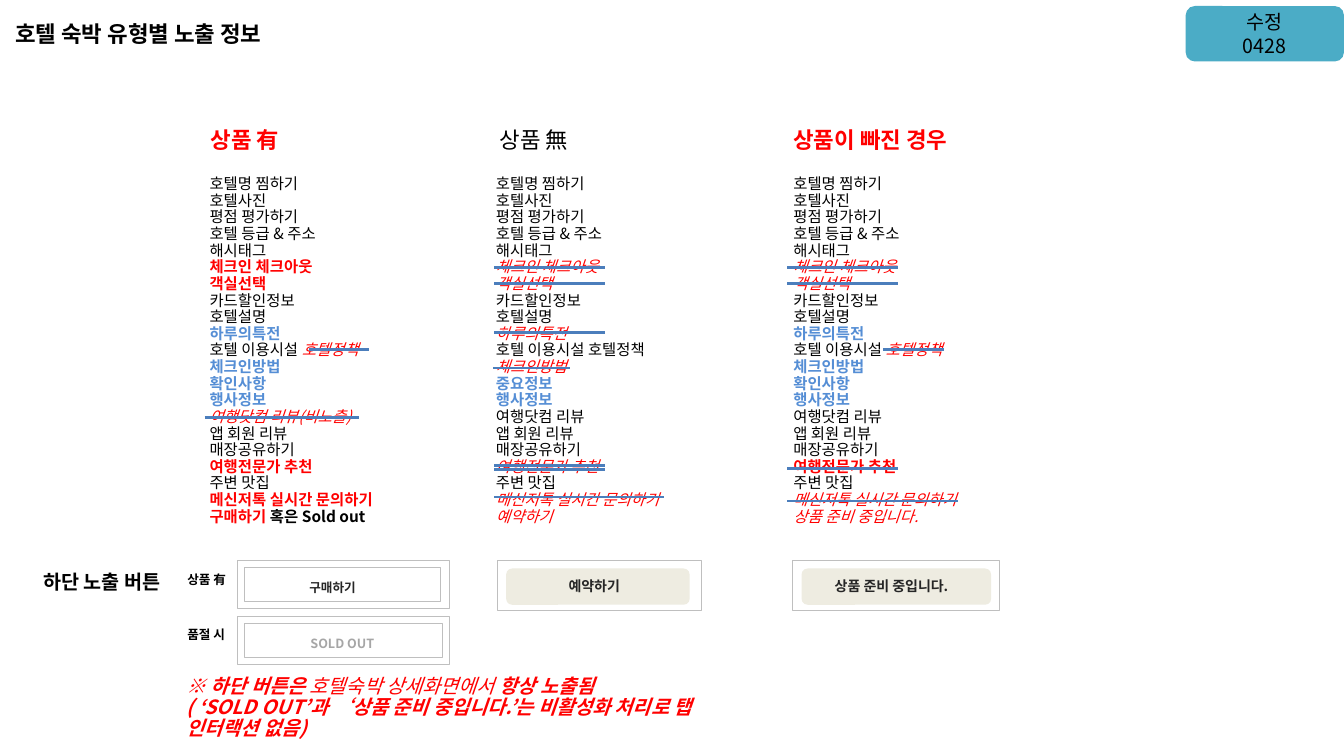
from lxml import etree
from pptx import Presentation, util as u
from pptx.dml.color import RGBColor
from pptx.enum import shapes, text
from pptx.oxml import ns

FONT = "Noto Sans CJK KR"
BLACK = RGBColor(0x00, 0x00, 0x00)
INK = RGBColor(0x26, 0x26, 0x26)
GREY = RGBColor(0xA6, 0xA6, 0xA6)
BORDER = RGBColor(0xBF, 0xBF, 0xBF)
WHITE = RGBColor(0xFF, 0xFF, 0xFF)
RED = RGBColor(0xFF, 0x00, 0x00)
BLUE = RGBColor(0x55, 0x8E, 0xD5)
STRIKE = RGBColor(0x4B, 0x7E, 0xBC)
TEAL = RGBColor(0x4B, 0xAC, 0xC6)
BEIGE = RGBColor(0xEE, 0xEC, 0xE1)

ADDED = dict(color=RED, bold=True)
REMOVED = dict(color=RED, italic=True)
INFO = dict(color=BLUE, bold=True)
RECT = shapes.MSO_SHAPE.RECTANGLE
ROUND = shapes.MSO_SHAPE.ROUNDED_RECTANGLE


def add_run(p, words, size=11, color=BLACK, bold=False, italic=False):
    r = p.add_run()
    r.text = words
    f = r.font
    f.size, f.bold, f.italic = u.Pt(size), bold, italic
    f.color.rgb = color
    f.name = FONT
    etree.SubElement(r._r.get_or_add_rPr(), ns.qn("a:ea"), typeface=FONT)


class Deck:
    def __init__(self):
        self.prs = Presentation()
        self.prs.slide_width = u.Inches(13.33)
        self.prs.slide_height = u.Inches(7.5)
        self.s = self.prs.slides.add_slide(self.prs.slide_layouts[5])

    def fill_text(self, tf, paragraphs, spacing=None, align=text.PP_ALIGN.LEFT, **style):
        """Each paragraph is a string or a list of (words, style) runs."""
        tf.word_wrap = True
        for i, runs in enumerate(paragraphs):
            p = tf.paragraphs[0] if i == 0 else tf.add_paragraph()
            p.alignment = align
            if spacing:
                p.line_spacing = spacing
            for words, extra in [(runs, {})] if isinstance(runs, str) else runs:
                add_run(p, words, **{**style, **extra})

    def title(self, words, x, y, w, h, **style):
        sp = self.s.shapes.title
        sp.left, sp.top, sp.width, sp.height = map(u.Inches, (x, y, w, h))
        tf = sp.text_frame
        tf.auto_size = text.MSO_AUTO_SIZE.NONE
        tf.vertical_anchor = text.MSO_ANCHOR.MIDDLE
        self.fill_text(tf, [words], **style)

    def label(self, paragraphs, x, y, w, h, spacing=0.9, **style):
        sp = self.s.shapes.add_textbox(*map(u.Inches, (x, y, w, h)))
        self.fill_text(sp.text_frame, paragraphs, spacing, **style)

    def box(self, kind, x, y, w, h, fill, line=None):
        sp = self.s.shapes.add_shape(kind, *map(u.Inches, (x, y, w, h)))
        sp.shadow.inherit = False
        sp.fill.solid()
        sp.fill.fore_color.rgb = fill
        if line is None:
            sp.line.fill.background()
        else:
            sp.line.color.rgb = line
            sp.line.width = u.Pt(0.5)
        return sp

    def strike(self, x1, x2, y):
        c = self.s.shapes.add_connector(
            shapes.MSO_CONNECTOR.STRAIGHT, *map(u.Inches, (x1, y, x2, y)))
        c.line.color.rgb = STRIKE
        c.line.width = u.Pt(2)
        etree.SubElement(c._element.spPr, ns.qn("a:effectLst"))


ROWS = ["호텔명 찜하기", "호텔사진", "평점 평가하기", "호텔 등급 & 주소", "해시태그",
        "체크인 체크아웃", "객실선택", "카드할인정보", "호텔설명", "하루의특전",
        "호텔 이용시설 호텔정책", "체크인방법", "확인사항", "행사정보", "여행닷컴 리뷰",
        "앱 회원 리뷰", "매장공유하기", "여행전문가 추천", "주변 맛집",
        "메신저톡 실시간 문의하기", "예약하기"]
POLICY_CUT = [("호텔 이용시설 ", {}), ("호텔정책", REMOVED)]


def column_rows(added=(), removed=(), info=(), **changed):
    """Common rows with marked styles; row_<n> replaces the runs of row n."""
    styles = {**dict.fromkeys(added, ADDED), **dict.fromkeys(removed, REMOVED),
              **dict.fromkeys(info, INFO)}
    return [changed.get(f"row_{n}", [(row, styles.get(n, {}))])
            for n, row in enumerate(ROWS, 1)]


d = Deck()

# Title and revision badge
d.title("호텔 숙박 유형별 노출 정보", 0.05, 0.16, 5.98, 0.34, size=16, bold=True)
badge = d.box(ROUND, 11.76, 0.06, 1.57, 0.55, TEAL)
badge.text_frame.vertical_anchor = text.MSO_ANCHOR.MIDDLE
d.fill_text(badge.text_frame, ["수정", "0428"], align=text.PP_ALIGN.CENTER, size=14)

# Three columns of shown information
columns = [
    ("상품 有", 1.99, 1.64, ADDED, 1.98, column_rows(
        added=(6, 7, 18, 20), info=(10, 12, 13, 14), row_11=POLICY_CUT,
        row_15=[("여행닷컴 리뷰(비노출)", REMOVED)],
        row_21=[("구매하기 ", ADDED), ("혹은 Sold out", dict(bold=True))])),
    ("상품 無", 4.86, 1.18, {}, 4.82, column_rows(
        removed=(6, 7, 10, 12, 18, 20, 21), info=(13, 14),
        row_13=[("중요정보", INFO)])),
    ("상품이 빠진 경우", 7.77, 1.97, ADDED, 7.77, column_rows(
        added=(18,), removed=(6, 7, 20), info=(10, 12, 13, 14), row_11=POLICY_CUT,
        row_21=[("상품 준비 중입니다.", REMOVED)])),
]
for heading, head_x, head_w, style, x, rows in columns:
    d.label([heading], head_x, 1.23, head_w, 0.39, size=16, **style)
    d.label(rows, x, 1.7, 2.76, 3.46)

# Lines through removed rows
strikes = [
    (3.06, 3.66, 3.47), (2.03, 3.56, 4.14),
    *[(4.9, 6, y) for y in (2.65, 2.81, 3.3, 4.62, 4.66)],
    (4.89, 5.65, 3.65), (4.9, 6.59, 4.93),
    *[(7.81, 8.91, y) for y in (2.65, 2.81, 4.65)],
    (8.76, 9.36, 3.47), (7.81, 9.5, 4.97),
]
for x1, x2, y in strikes:
    d.strike(x1, x2, y)

# Bottom buttons: outlined pair on the left
d.label(["하단 노출 버튼"], 0.33, 5.63, 1.43, 0.39, size=14, bold=True)
for state, state_y, words, x, y, w, color in [
        ("상품 有", 5.64, "구매하기", 2.97, 5.56, 1.95, INK),
        ("품절 시", 6.19, "SOLD OUT", 2.98, 6.11, 1.97, GREY)]:
    d.label([state], 1.76, state_y, 0.69, 0.39, size=9, bold=True)
    d.box(RECT, 2.35, y, 2.11, 0.48, WHITE, BORDER)
    d.box(RECT, 2.42, y + 0.07, w, 0.34, WHITE, BORDER)
    d.label([words], x, y + 0.07, 1.48, 0.33, spacing=1.5, size=9, bold=True, color=color)

# Bottom buttons: filled ones under the other columns
for words, x, w, fill_w, text_x in [
        ("예약하기", 4.93, 2.03, 1.82, 5.54),
        ("상품 준비 중입니다.", 7.86, 2.05, 1.88, 8.18)]:
    d.box(RECT, x, 5.56, w, 0.5, WHITE, BORDER)
    d.box(ROUND, x + 0.09, 5.64, fill_w, 0.36, BEIGE)
    d.label([words], text_x, 5.68, 1.55, 0.27, spacing=None, size=10, bold=True, color=INK)

# Note on the buttons
d.label([[("※ 하단 버튼은 ", {}), ("호텔숙박 상세화면에서 ", dict(bold=False)),
          ("항상 노출됨", {})],
         "( ‘SOLD OUT’과 ‘상품 준비 중입니다.’는 비활성화 처리로 탭 인터랙션 없음)"],
        1.75, 6.66, 5.46, 0.71, size=14, color=RED, bold=True, italic=True)

d.prs.save("out.pptx")
